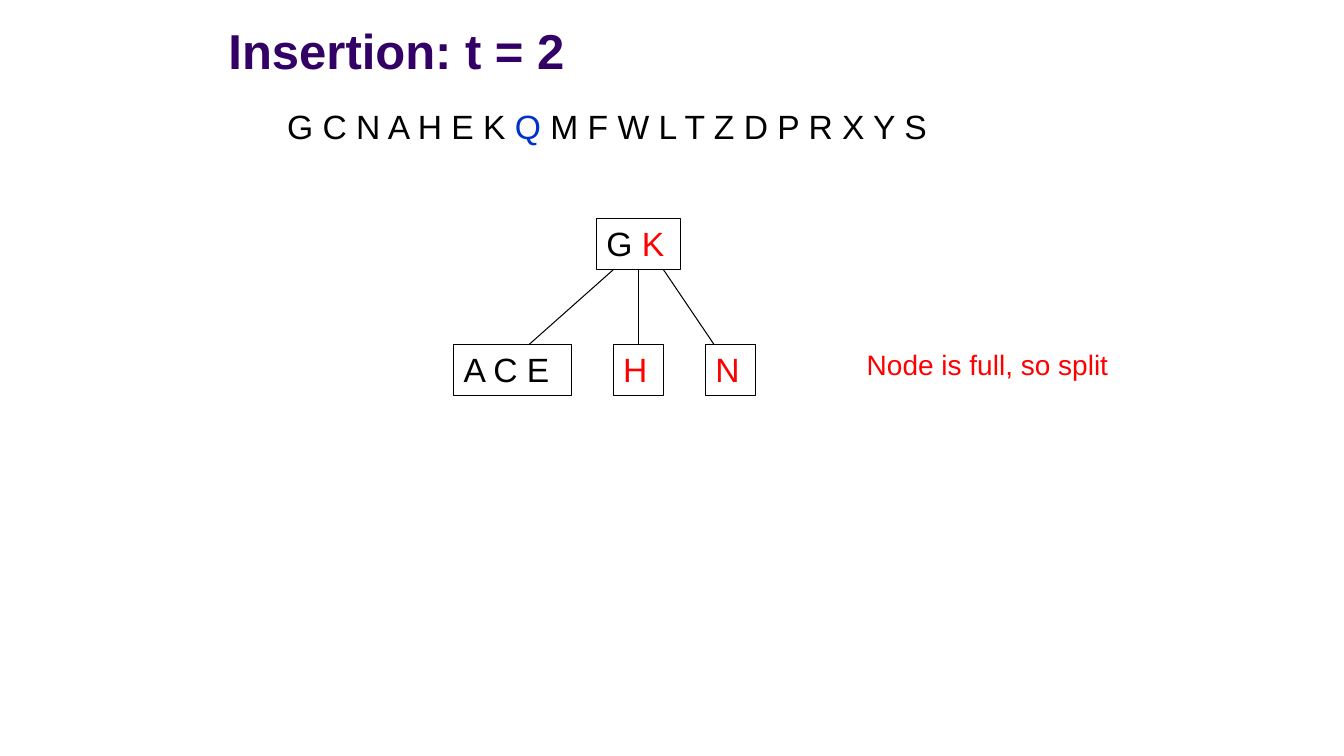
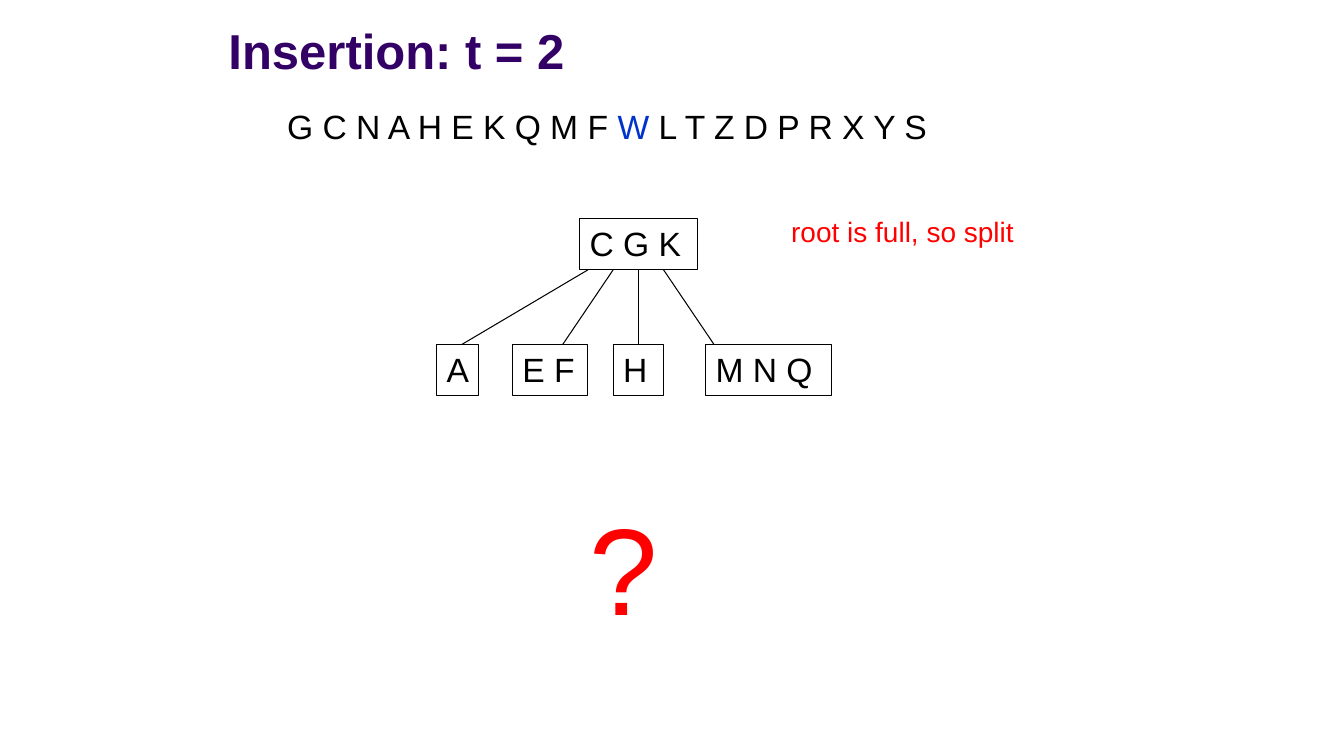
from dataclasses import dataclass

from lxml.etree import SubElement
from pptx import Presentation
from pptx.dml.color import RGBColor as Rgb
from pptx.enum.shapes import MSO_CONNECTOR as Wire, MSO_SHAPE as Form
from pptx.enum.text import MSO_ANCHOR as Anchor, MSO_AUTO_SIZE as Fit, PP_ALIGN as Align
from pptx.oxml.ns import qn
from pptx.shapes.autoshape import Shape
from pptx.slide import Slide
from pptx.text.text import TextFrame
from pptx.util import Emu, Pt


@dataclass(frozen=True)
class Theme:
    font: str = "Arial"
    head: Rgb = Rgb(0x33, 0x00, 0x66)
    ink: Rgb = Rgb(0x00, 0x00, 0x00)
    blue: Rgb = Rgb(0x00, 0x33, 0xCC)
    red: Rgb = Rgb(0xFF, 0x00, 0x00)
    head_size: int = 35
    key_size: int = 24
    note_size: int = 20
    mark_size: int = 88
    line: float = 0.75


@dataclass(frozen=True)
class Area:
    left: int
    top: int
    width: int
    height: int

    @property
    def mid(self) -> int:
        return self.left + self.width // 2

    @property
    def base(self) -> int:
        return self.top + self.height


@dataclass(frozen=True)
class Node:
    keys: str
    left: int
    width: int
    mark: str = ""
    port: int = 0
    drop: int = 0


@dataclass(frozen=True)
class Note:
    text: str
    area: Area
    size: int


@dataclass(frozen=True)
class Step:
    key: str
    root: Node
    kids: tuple[Node, ...]
    notes: tuple[Note, ...]


THEME = Theme()
SCALE = 9525
WIDE, HIGH = 1280, 720
HEAD = Area(208, 12, 792, 68)
QUEUE = Area(264, 96, 644, 48)
ROOT_TOP, KID_TOP, NODE_HIGH = 208, 328, 49
TITLE = "Insertion: t = 2"
KEYS = "G C N A H E K Q M F W L T Z D P R X Y S"

STEPS = (
    Step(
        "Q",
        Node("G K", 568, 80, "K"),
        (
            Node("A C E", 432, 112, port=584, drop=504),
            Node("H", 584, 48, "H", port=608, drop=608),
            Node("N", 672, 48, "N", port=632, drop=680),
        ),
        (Note("Node is full, so split", Area(816, 326, 272, 42), THEME.note_size),),
    ),
    Step(
        "W",
        Node("C G K", 552, 112),
        (
            Node("A", 416, 40, port=560, drop=440),
            Node("E F", 488, 72, port=584, drop=536),
            Node("H", 584, 48, port=608, drop=608),
            Node("M N Q", 672, 120, port=632, drop=680),
        ),
        (
            Note("root is full, so split", Area(744, 200, 272, 42), THEME.note_size),
            Note("?", Area(552, 464, 96, 151), THEME.mark_size),
        ),
    ),
)


def px(count: int) -> Emu:
    return Emu(count * SCALE)


def bounds(area: Area) -> tuple[Emu, Emu, Emu, Emu]:
    return px(area.left), px(area.top), px(area.width), px(area.height)


def write(frame: TextFrame, text: str, size: int, tint: Rgb, mark: str = "",
          glow: Rgb = THEME.red, bold: bool = False, anchor: Anchor = Anchor.TOP) -> None:
    frame.word_wrap = True
    frame.auto_size = Fit.NONE
    frame.vertical_anchor = anchor
    line = frame.paragraphs[0]
    line.alignment = Align.LEFT
    for part in text.partition(mark) if mark else (text,):
        if part:
            run = line.add_run()
            run.text = part
            font = run.font
            font.name, font.size, font.bold = THEME.font, Pt(size), bold
            font.color.rgb = glow if part == mark else tint


def add_head(slide: Slide) -> None:
    head = slide.shapes.title
    head.left, head.top, head.width, head.height = bounds(HEAD)
    write(head.text_frame, TITLE, THEME.head_size, THEME.head, bold=True, anchor=Anchor.BOTTOM)


def add_queue(slide: Slide, key: str) -> None:
    box = slide.shapes.add_textbox(*bounds(QUEUE))
    write(box.text_frame, KEYS, THEME.key_size, THEME.ink, key, THEME.blue, anchor=Anchor.MIDDLE)


def add_note(slide: Slide, note: Note) -> None:
    box = slide.shapes.add_textbox(*bounds(note.area))
    write(box.text_frame, note.text, note.size, THEME.red)


def add_node(slide: Slide, node: Node, area: Area) -> Shape:
    box = slide.shapes.add_shape(Form.RECTANGLE, *bounds(area))
    box.shadow.inherit = False
    box.fill.background()
    box.line.color.rgb = THEME.ink
    box.line.width = Pt(THEME.line)
    write(box.text_frame, node.keys, THEME.key_size, THEME.ink, node.mark)
    return box


def add_tree(slide: Slide, root: Node, kids: tuple[Node, ...]) -> None:
    crown = Area(root.left, ROOT_TOP, root.width, NODE_HIGH)
    top = add_node(slide, root, crown)
    for kid in kids:
        area = Area(kid.left, KID_TOP, kid.width, NODE_HIGH)
        box = add_node(slide, kid, area)
        link = slide.shapes.add_connector(
            Wire.STRAIGHT, px(kid.port), px(crown.base), px(kid.drop), px(area.top))
        link.line.color.rgb = THEME.ink
        link.line.width = Pt(THEME.line)
        SubElement(link.element.spPr, qn("a:effectLst"))
        if kid.port == crown.mid:
            link.begin_connect(top, 2)
        if kid.drop == area.mid:
            link.end_connect(box, 0)


def main() -> None:
    deck = Presentation()
    deck.slide_width, deck.slide_height = px(WIDE), px(HIGH)
    for step in STEPS:
        slide = deck.slides.add_slide(deck.slide_layouts[5])
        add_head(slide)
        add_queue(slide, step.key)
        add_tree(slide, step.root, step.kids)
        for note in step.notes:
            add_note(slide, note)
    deck.save("out.pptx")


if __name__ == "__main__":
    main()
